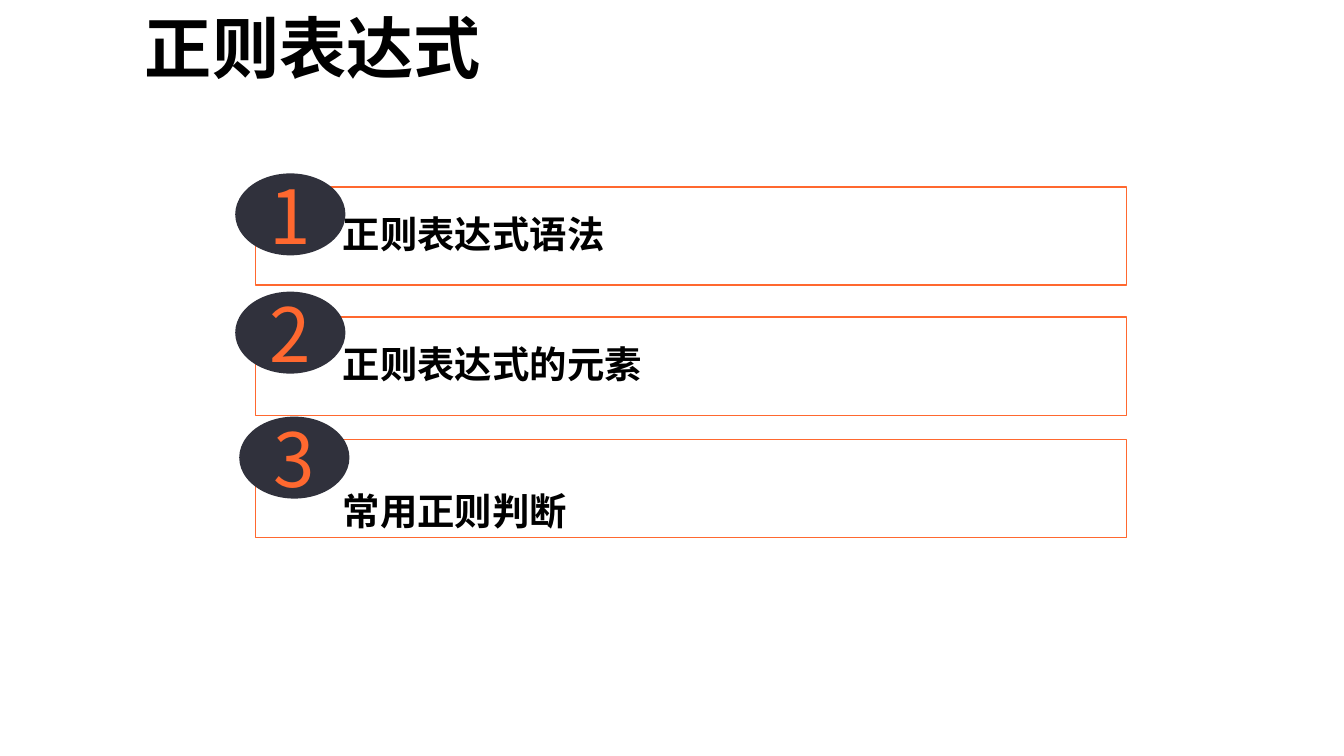
"""Build a slide listing the three topics on regular expressions."""
from lxml.etree import SubElement
from pptx import Presentation
from pptx.dml.color import RGBColor
from pptx.enum.shapes import MSO_SHAPE as Shape
from pptx.enum.text import MSO_ANCHOR as Anchor, PP_ALIGN as Align
from pptx.oxml.ns import qn
from pptx.util import Inches, Pt

FONT = "Noto Sans CJK SC"
ORANGE = RGBColor(0xFF, 0x68, 0x2F)
DARK = RGBColor(0x30, 0x31, 0x3C)
BLACK = RGBColor(0, 0, 0)
WHITE = RGBColor(0xFF, 0xFF, 0xFF)

WIDTH = 10
HEIGHT = WIDTH * 9 / 16
BAR_LEFT, BAR_WIDTH, BAR_HEIGHT = 0.19 * WIDTH, 6.48, 0.13 * HEIGHT
BADGE_WIDTH, BADGE_HEIGHT = 0.82, 0.61
TOPICS = [
    ("正则表达式语法", 1.39, 1.75, 1.29, (0.09, 0.08)),
    ("正则表达式的元素", 2.36, 1.75, 2.17, (0.08, 0.08)),
    ("常用正则判断", 3.27, 1.78, 3.1, (0.37, 0)),
]


def write(box, text, size, color, bold=False, align=Align.LEFT):
    para = box.text_frame.paragraphs[0]
    para.add_run().text = text
    para.alignment = align
    font = para.font
    font.size, font.bold, font.name = Pt(size), bold, FONT
    font.color.rgb = color
    SubElement(para._p.pPr.find(qn("a:defRPr")), qn("a:ea"), typeface=FONT)
    return para


def add_filled(page, kind, area, color):
    shape = page.shapes.add_shape(kind, *map(Inches, area))
    shape.shadow.inherit = False
    shape.fill.solid()
    shape.fill.fore_color.rgb = color
    shape.text_frame.vertical_anchor = Anchor.MIDDLE
    return shape


def add_title(page, text):
    box = page.shapes.add_textbox(Inches(0.98), 0, Inches(4.88), Inches(0.71))
    box.text_frame.word_wrap = True
    write(box, text, 36, BLACK, bold=True)


def add_bar(page, text, top, insets):
    area = BAR_LEFT, top, BAR_WIDTH, BAR_HEIGHT
    bar = add_filled(page, Shape.RECTANGLE, area, WHITE)
    tint = bar._element.spPr.find(qn("a:solidFill"))[0]
    SubElement(tint, qn("a:alpha"), val="40000")
    bar.line.color.rgb = ORANGE
    bar.line.width = Pt(0.75)
    frame = bar.text_frame
    frame.margin_left, frame.margin_right = Inches(0.65), Inches(0.08)
    frame.margin_top, frame.margin_bottom = map(Inches, insets)
    write(bar, text, 20, BLACK, bold=True).line_spacing = 0.9


def add_badge(page, number, left, top):
    area = left, top, BADGE_WIDTH, BADGE_HEIGHT
    badge = add_filled(page, Shape.OVAL, area, DARK)
    badge.line.fill.background()
    write(badge, str(number), 40, ORANGE, align=Align.CENTER)


def main():
    deck = Presentation()
    deck.slide_width, deck.slide_height = Inches(WIDTH), Inches(HEIGHT)
    page = deck.slides.add_slide(deck.slide_layouts[6])
    for text, top, _, _, insets in TOPICS:
        add_bar(page, text, top, insets)
    add_title(page, "正则表达式")
    for number, (_, _, left, top, _) in enumerate(TOPICS, 1):
        add_badge(page, number, left, top)
    deck.save("out.pptx")


if __name__ == "__main__":
    main()
